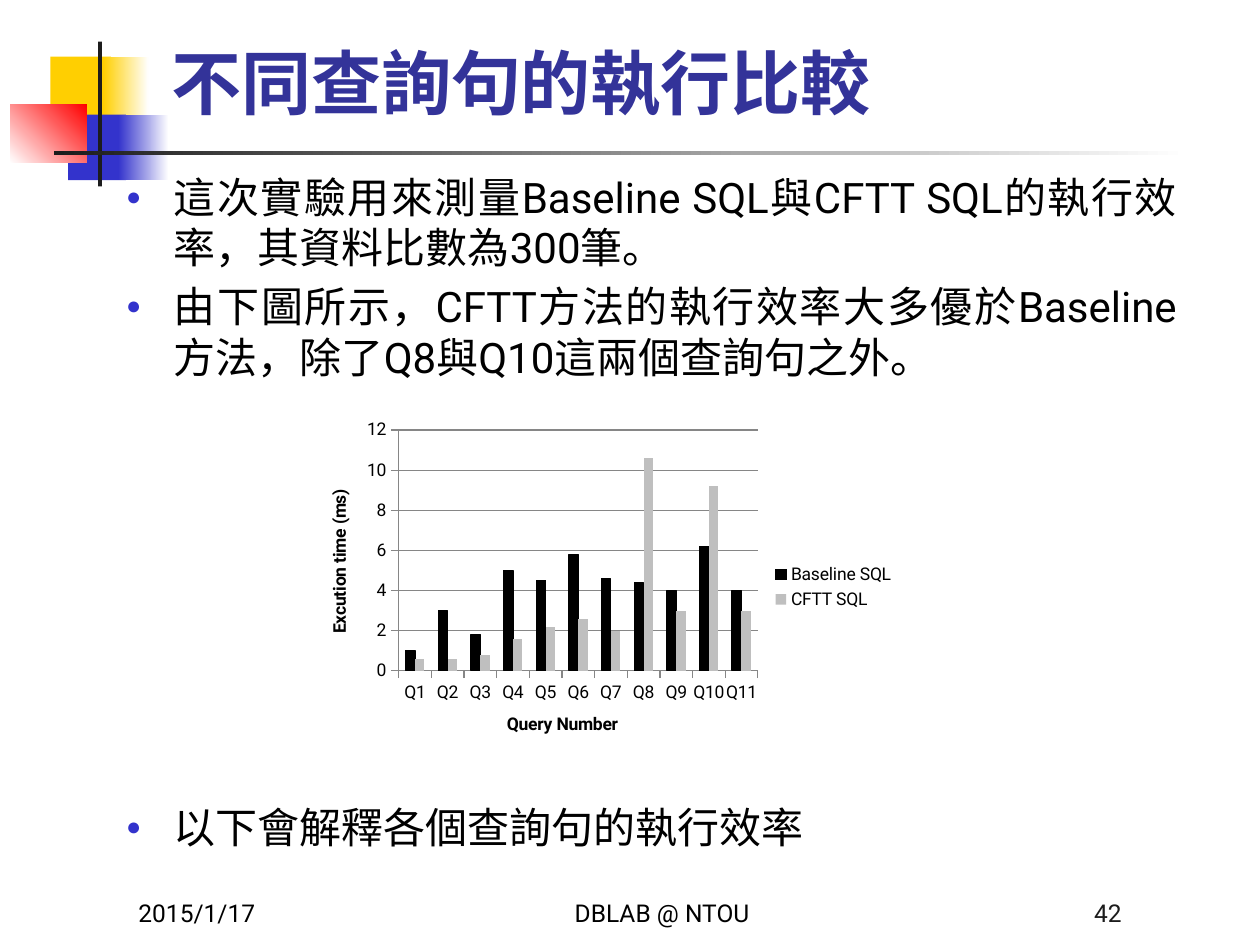
from pptx import Presentation
from pptx.chart.data import CategoryChartData
from pptx.dml.color import RGBColor
from pptx.enum.chart import XL_CHART_TYPE, XL_LEGEND_POSITION, XL_TICK_MARK
from pptx.enum.shapes import MSO_SHAPE
from pptx.enum.text import MSO_ANCHOR, MSO_AUTO_SIZE, PP_ALIGN
from pptx.oxml import parse_xml
from pptx.oxml.ns import nsdecls
from pptx.util import Inches, Pt

FONT = "Roboto"
BLACK = RGBColor(0x00, 0x00, 0x00)
CHARCOAL = RGBColor(0x1C, 0x1C, 0x1C)
WHITE = RGBColor(0xFF, 0xFF, 0xFF)
YELLOW = RGBColor(0xFF, 0xCF, 0x01)
BLUE = RGBColor(0x33, 0x33, 0xCC)
NAVY = RGBColor(0x33, 0x33, 0x99)
RED = RGBColor(0xFF, 0x00, 0x00)
SILVER = RGBColor(0xBF, 0xBF, 0xBF)
GRAY = RGBColor(0x86, 0x86, 0x86)

# Content
TITLE = "不同查詢句的執行比較"
BULLETS = [  # text, space before in points (the last one clears the chart)
    ("這次實驗用來測量Baseline SQL與CFTT SQL的執行效率，其資料比數為300筆。", 0),
    ("由下圖所示，CFTT方法的執行效率大多優於Baseline方法，除了Q8與Q10這兩個查詢句之外。", 5),
    ("以下會解釋各個查詢句的執行效率", 240),
]
FOOTERS = [  # text, left, width, alignment, colour
    ("2015/1/17", 1, 2.08, PP_ALIGN.LEFT, BLACK),
    ("DBLAB @ NTOU", 3.67, 3.17, PP_ALIGN.CENTER, BLACK),
    ("42", 6.92, 2.08, PP_ALIGN.RIGHT, CHARCOAL),
]
QUERIES = [f"Q{number}" for number in range(1, 12)]
TIMES = [
    ("Baseline SQL", BLACK, (1, 3, 1.8, 5, 4.5, 5.8, 4.6, 4.4, 4, 6.2, 4)),
    ("CFTT SQL", SILVER, (0.6, 0.6, 0.8, 1.6, 2.2, 2.6, 2, 10.6, 3, 9.2, 3)),
]
AXIS_TITLES = ("Query Number", "Excution time (ms)")
ORNAMENTS = [  # box, start colour, end colour (None = solid), angle
    ((0.4, 0.45, 0.48, 0.52), YELLOW, None, 0),
    ((0.82, 0.45, 0.36, 0.52), YELLOW, WHITE, 0),
    ((0.54, 0.91, 0.46, 0.52), BLUE, None, 0),
    ((0.94, 0.91, 0.4, 0.52), BLUE, WHITE, 0),
    ((0.08, 0.83, 0.61, 0.46), WHITE, RED, 45),
    ((0.78, 0.33, 0.03, 1.15), CHARCOAL, None, 0),
    ((0.43, 1.2, 9, 0.03), CHARCOAL, WHITE, 0),
]


def inches(*box):
    return [Inches(length) for length in box]


def place(shape, *box):
    shape.left, shape.top, shape.width, shape.height = inches(*box)


def style(font, size, color, bold=False):
    font.name, font.size, font.bold = FONT, Pt(size), bold
    font.color.rgb = color


def add_run(paragraph, text, size, color, bold=False):
    run = paragraph.add_run()
    run.text = text
    style(run.font, size, color, bold)


def add_bullet(paragraph):
    props = paragraph._p.get_or_add_pPr()
    props.set("marL", str(Inches(0.38)))
    props.set("indent", str(-Inches(0.38)))
    for element in (
        f'<a:buClr {nsdecls("a")}><a:srgbClr val="{BLUE}"/></a:buClr>',
        f'<a:buSzPct {nsdecls("a")} val="60000"/>',
        f'<a:buChar {nsdecls("a")} char="●"/>',
    ):
        props.append(parse_xml(element))


prs = Presentation()
prs.slide_width, prs.slide_height = inches(10, 7.5)
slide = prs.slides.add_slide(prs.slide_layouts[1])

# Corner ornament and title rule
for box, start, end, angle in ORNAMENTS:
    block = slide.shapes.add_shape(MSO_SHAPE.RECTANGLE, *inches(*box))
    block.shadow.inherit = False
    block.line.fill.background()
    if end is None:
        block.fill.solid()
        block.fill.fore_color.rgb = start
    else:
        block.fill.gradient()
        block.fill.gradient_angle = angle
        for stop, color in zip(block.fill.gradient_stops, (start, end)):
            stop.color.rgb = color

# Title
title = slide.shapes.title
place(title, 1.26, 0.17, 8.52, 0.86)
title.text_frame.vertical_anchor = MSO_ANCHOR.BOTTOM
title.text_frame.auto_size = MSO_AUTO_SIZE.NONE
heading = title.text_frame.paragraphs[0]
heading.alignment = PP_ALIGN.LEFT
add_run(heading, TITLE, 40, NAVY, bold=True)

# Bullets
body = slide.placeholders[1]
place(body, 0.9, 1.31, 8.54, 5.42)
body.text_frame.auto_size = MSO_AUTO_SIZE.NONE
for index, (text, gap) in enumerate(BULLETS):
    bullet = body.text_frame.paragraphs[0] if index == 0 else body.text_frame.add_paragraph()
    add_bullet(bullet)
    bullet.alignment = PP_ALIGN.JUSTIFY
    bullet.space_before = Pt(gap)
    add_run(bullet, text, 24, BLACK)

# Footer row
for text, left, width, alignment, color in FOOTERS:
    footer = slide.shapes.add_textbox(*inches(left, 6.91, width, 0.5)).text_frame
    footer.word_wrap = True
    footer.vertical_anchor = MSO_ANCHOR.BOTTOM
    footer.paragraphs[0].alignment = alignment
    add_run(footer.paragraphs[0], text, 14, color)

# Execution time chart
data = CategoryChartData()
data.categories = QUERIES
for name, _, values in TIMES:
    data.add_series(name, values)
chart = slide.shapes.add_chart(
    XL_CHART_TYPE.COLUMN_CLUSTERED, *inches(2.4, 3.28, 4.8, 2.76), data).chart
style(chart.font, 10, BLACK)
chart.has_title = False
chart.has_legend = True
chart.legend.position = XL_LEGEND_POSITION.RIGHT
chart.legend.include_in_layout = False

columns = chart.plots[0]
columns.gap_width, columns.overlap = 150, 0
columns.vary_by_categories = False
for series, (_, color, _) in zip(columns.series, TIMES):
    series.format.fill.solid()
    series.format.fill.fore_color.rgb = color
baseline = columns.series[0].format.line
baseline.color.rgb, baseline.width = BLACK, Pt(0.75)

for axis, axis_title in zip((chart.category_axis, chart.value_axis), AXIS_TITLES):
    axis.major_tick_mark = XL_TICK_MARK.OUTSIDE
    axis.minor_tick_mark = XL_TICK_MARK.NONE
    axis.format.line.color.rgb = GRAY
    add_run(axis.axis_title.text_frame.paragraphs[0], axis_title, 10, BLACK, bold=True)
times_axis = chart.value_axis
times_axis.minimum_scale, times_axis.maximum_scale, times_axis.major_unit = 0, 12, 2
times_axis.has_major_gridlines = True
times_axis.major_gridlines.format.line.color.rgb = GRAY

prs.save("out.pptx")
